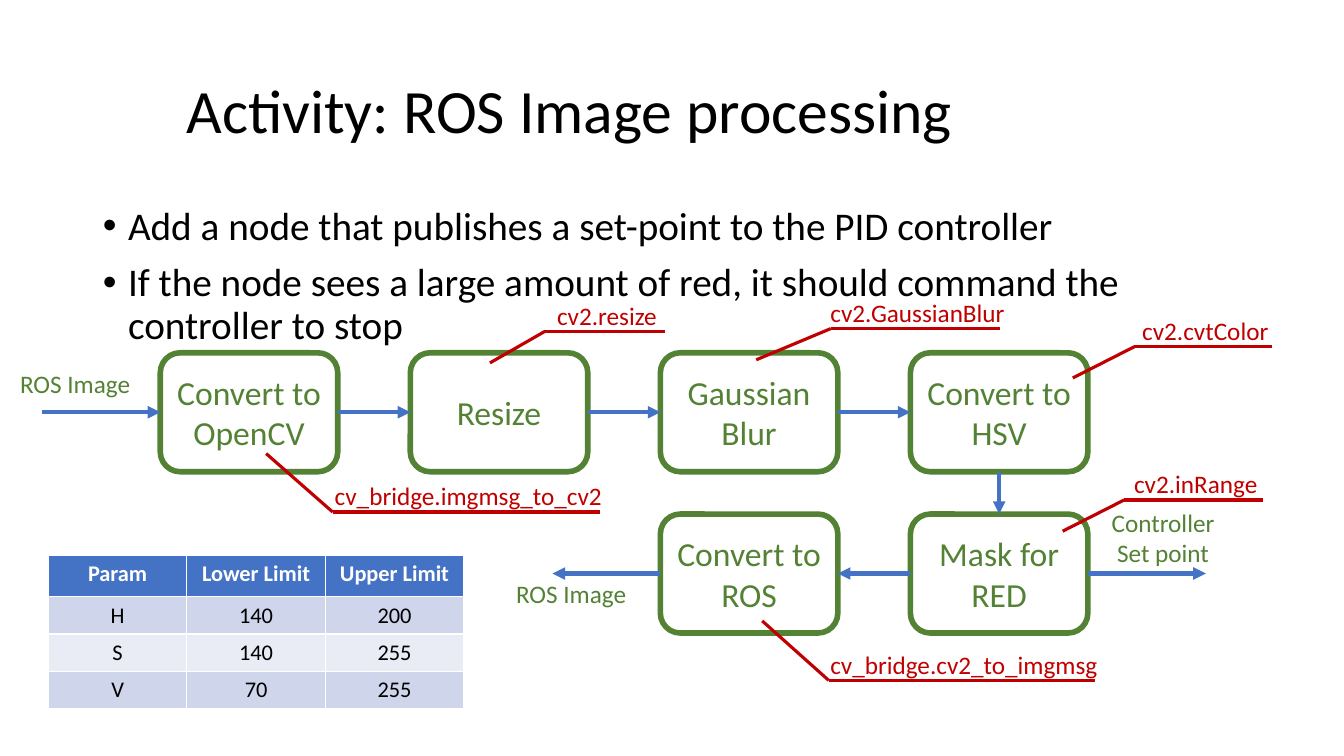
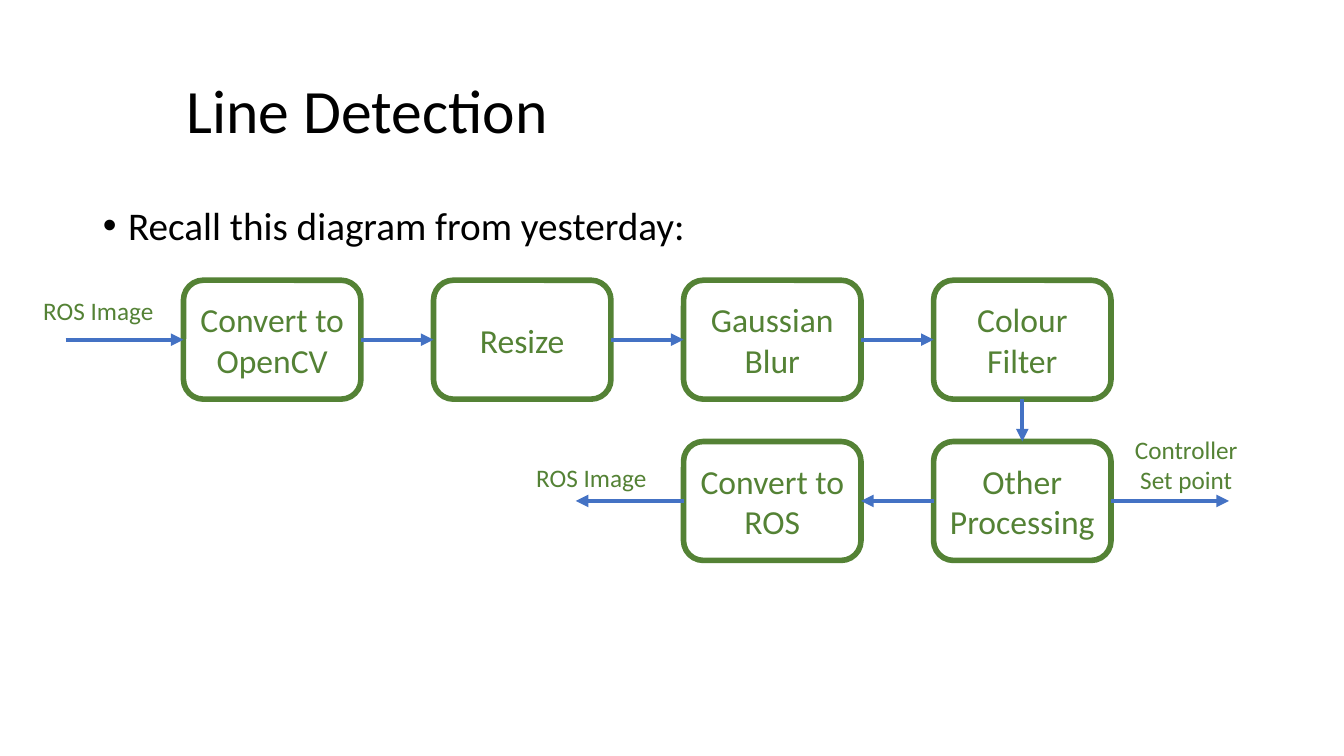
from lxml import etree
from pptx import Presentation
from pptx.dml.color import RGBColor
from pptx.enum.shapes import MSO_CONNECTOR, MSO_SHAPE
from pptx.enum.text import MSO_ANCHOR, MSO_AUTO_SIZE, PP_ALIGN
from pptx.oxml.ns import qn
from pptx.util import Inches, Pt

FONT = "Calibri"
BLACK = RGBColor(0x00, 0x00, 0x00)
WHITE = RGBColor(0xFF, 0xFF, 0xFF)
BLUE = RGBColor(0x44, 0x72, 0xC4)
GREEN = RGBColor(0x54, 0x82, 0x35)
RED = RGBColor(0xC0, 0x00, 0x00)
BANDS = (RGBColor(0xCF, 0xD5, 0xEA), RGBColor(0xE9, 0xEB, 0xF5))

BOX_WIDTH, BOX_HEIGHT = 1.76, 1.18
COLUMN_STEP, ROW_STEP = 2.48, 1.6
TOP, LEFT, BOTTOM, RIGHT = range(4)


def place(shape, left, top, width, height):
    shape.left, shape.top = Inches(left), Inches(top)
    shape.width, shape.height = Inches(width), Inches(height)


def style(para, size, color, align, bold=False):
    para.alignment = align
    para.font.name = FONT
    para.font.size = Pt(size)
    para.font.color.rgb = color
    para.font.bold = bold


def add_page(deck, title, bullets):
    page = deck.slides.add_slide(deck.slide_layouts[1])
    heading, body = page.placeholders
    place(heading, 1.75, 0.4, 8.37, 1.45)
    place(body, 0.92, 2, 11.5, 4.76)
    for holder, anchor in ((heading, MSO_ANCHOR.MIDDLE), (body, MSO_ANCHOR.TOP)):
        holder.text_frame.auto_size = MSO_AUTO_SIZE.NONE
        holder.text_frame.vertical_anchor = anchor
    heading.text_frame.text = title
    style(heading.text_frame.paragraphs[0], 44, BLACK, PP_ALIGN.LEFT)
    heading.text_frame.paragraphs[0].line_spacing = 0.9
    body.text_frame.text = "\n".join(bullets)
    for para in body.text_frame.paragraphs:
        style(para, 28, BLACK, PP_ALIGN.LEFT)
        para.line_spacing = 0.9
        para.space_before = Pt(10)
        properties = para._p.get_or_add_pPr()
        properties.set("marL", str(Inches(0.25)))
        properties.set("indent", str(-Inches(0.25)))
    return page


def add_label(shapes, text, left, top, width, height=0.4, color=GREEN):
    label = shapes.add_textbox(Inches(left), Inches(top), Inches(width), Inches(height))
    frame = label.text_frame
    frame.word_wrap = True
    frame.auto_size = MSO_AUTO_SIZE.SHAPE_TO_FIT_TEXT
    frame.text = text
    style(frame.paragraphs[0], 18, color, PP_ALIGN.CENTER)


def add_step(page, text, left, top):
    box = page.shapes.add_shape(MSO_SHAPE.ROUNDED_RECTANGLE, Inches(left), Inches(top),
                                Inches(BOX_WIDTH), Inches(BOX_HEIGHT))
    box.shadow.inherit = False
    box.fill.background()
    box.line.color.rgb = GREEN
    box.line.width = Pt(4)
    frame = box.text_frame
    frame.word_wrap = True
    frame.margin_left = frame.margin_right = Inches(0.05)
    frame.vertical_anchor = MSO_ANCHOR.MIDDLE
    frame.text = text
    style(frame.paragraphs[0], 24, GREEN, PP_ALIGN.CENTER)
    return box


def add_line(shapes, start, end, color, width):
    line = shapes.add_connector(MSO_CONNECTOR.STRAIGHT, *start, *end)
    line.line.color.rgb = color
    line.line.width = Pt(width)
    etree.SubElement(line._element.spPr, qn("a:effectLst"))
    return line


def add_arrow(page, start, end):
    arrow = add_line(page.shapes, start, end, BLUE, 3)
    etree.SubElement(arrow.line._get_or_add_ln(), qn("a:tailEnd"), type="triangle")
    return arrow


def link(page, source, source_site, target, target_site):
    arrow = add_arrow(page, (source.left, source.top), (target.left, target.top))
    arrow.begin_connect(source, source_site)
    arrow.end_connect(target, target_site)


def add_pipeline(page, left, top, top_steps, bottom_steps, output_label):
    upper = [add_step(page, text, left + column * COLUMN_STEP, top)
             for column, text in enumerate(top_steps)]
    publish, process = [add_step(page, text, left + column * COLUMN_STEP, top + ROW_STEP)
                        for column, text in enumerate(bottom_steps, 2)]
    for source, target in zip(upper, upper[1:]):
        link(page, source, RIGHT, target, LEFT)
    link(page, upper[-1], BOTTOM, process, TOP)
    link(page, process, LEFT, publish, RIGHT)

    first = upper[0]
    upper_middle = first.top + first.height // 2
    lower_middle = process.top + process.height // 2
    entry = add_arrow(page, (first.left - Inches(1.17), upper_middle), (first.left, upper_middle))
    entry.end_connect(first, LEFT)
    for box, site, edge, reach in ((process, RIGHT, process.left + process.width, 1.17),
                                   (publish, LEFT, publish.left, -1.07)):
        leaving = add_arrow(page, (edge, lower_middle), (edge + Inches(reach), lower_middle))
        leaving.begin_connect(box, site)

    add_label(page.shapes, "ROS Image", left - 1.5, top + 0.1, 1.31)
    add_label(page.shapes, "ROS Image", *output_label, 1.31)
    add_label(page.shapes, "Controller Set point", left + 9.29, top + 1.48, 1.31, 0.71)


def add_callout(page, text, left, right, baseline, tip):
    shapes = page.shapes.add_group_shape().shapes
    add_label(shapes, text, left - 0.18, baseline - 0.36, right - left + 0.4, color=RED)
    corner = Inches(left), Inches(baseline)
    tip_x, tip_y = tip
    for end in ((Inches(right), Inches(baseline)), (Inches(tip_x), Inches(tip_y))):
        add_line(shapes, corner, end, RED, 2.25)


def add_limits_table(page, rows):
    table = page.shapes.add_table(len(rows), len(rows[0]), Inches(0.48), Inches(5.51),
                                  Inches(4.12), Inches(1.52)).table
    for index, values in enumerate(rows):
        header = index == 0
        table.rows[index].height = Inches(0.41 if header else 0.37)
        for column, value in enumerate(values):
            cell = table.cell(index, column)
            cell.fill.solid()
            cell.fill.fore_color.rgb = BLUE if header else BANDS[(index - 1) % 2]
            cell.text = value
            style(cell.text_frame.paragraphs[0], 16, WHITE if header else BLACK,
                  PP_ALIGN.CENTER, header)


def add_activity_page(deck):
    page = add_page(deck, "Activity: ROS Image processing", [
        "Add a node that publishes a set-point to the PID controller",
        "If the node sees a large amount of red, it should command the controller to stop",
    ])
    add_pipeline(page, 1.59, 3.5,
                 ("Convert to OpenCV", "Resize", "Gaussian Blur", "Convert to HSV"),
                 ("Convert to ROS", "Mask for RED"), (5.01, 5.69))
    add_limits_table(page, (
        ("Param", "Lower Limit", "Upper Limit"),
        ("H", "140", "200"),
        ("S", "140", "255"),
        ("V", "70", "255"),
    ))
    for callout in (
        ("cv2.cvtColor", 11.25, 12.62, 3.44, (10.64, 3.75)),
        ("cv2.inRange", 11.15, 12.53, 4.96, (10.54, 5.27)),
        ("cv2.GaussianBlur", 8.24, 9.92, 3.26, (7.5, 3.57)),
        ("cv2.resize", 5.4, 6.6, 3.29, (4.86, 3.6)),
        ("cv_bridge.imgmsg_to_cv2", 3.3, 5.95, 5.08, (2.64, 4.5)),
        ("cv_bridge.cv2_to_imgmsg", 8.22, 10.86, 6.75, (7.56, 6.16)),
    ):
        add_callout(page, *callout)


def add_detection_page(deck):
    page = add_page(deck, "Line Detection", ["Recall this diagram from yesterday:"])
    add_pipeline(page, 1.82, 2.78,
                 ("Convert to OpenCV", "Resize", "Gaussian Blur", "Colour Filter"),
                 ("Convert to ROS", "Other Processing"), (5.21, 4.54))


def main():
    deck = Presentation()
    deck.slide_width, deck.slide_height = Inches(13.33), Inches(7.5)
    add_activity_page(deck)
    add_detection_page(deck)
    deck.save("out.pptx")


if __name__ == "__main__":
    main()
